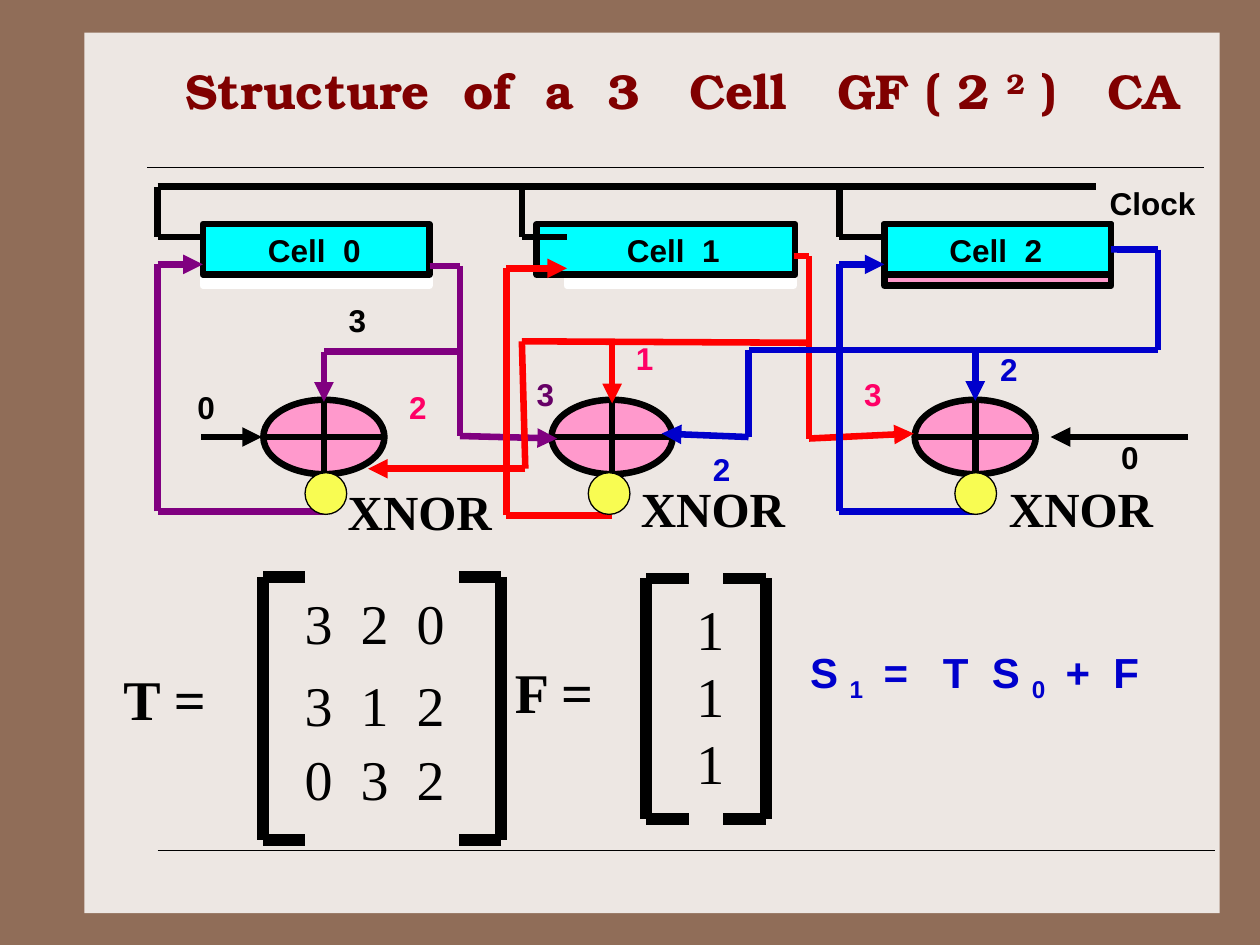
from pptx import Presentation
from pptx.dml.color import RGBColor
from pptx.enum.shapes import MSO_CONNECTOR as Link, MSO_SHAPE as Kind
from pptx.enum.text import MSO_ANCHOR as Anchor, PP_ALIGN as Align
from pptx.oxml.ns import qn
from pptx.util import Cm, Pt
from lxml.etree import SubElement

BLACK = RGBColor(0x00, 0x00, 0x00)
WHITE = RGBColor(0xFF, 0xFF, 0xFF)
BROWN = RGBColor(0x90, 0x6D, 0x58)
CREAM = RGBColor(0xED, 0xE7, 0xE3)
MAROON = RGBColor(0x80, 0x00, 0x00)
CYAN = RGBColor(0x00, 0xFF, 0xFF)
PINK = RGBColor(0xFF, 0x99, 0xCC)
ROSE = RGBColor(0xFF, 0x00, 0x66)
YELLOW = RGBColor(0xF8, 0xFC, 0x52)
PURPLE = RGBColor(0x80, 0x00, 0x80)
PLUM = RGBColor(0x66, 0x00, 0x66)
RED = RGBColor(0xFF, 0x00, 0x00)
BLUE = RGBColor(0x00, 0x00, 0xCC)
SERIF = "Times New Roman"

deck = Presentation()
deck.slide_width, deck.slide_height = Cm(25.4), Cm(19.05)
slide = deck.slides.add_slide(deck.slide_layouts[5])
slide.background.fill.solid()
slide.background.fill.fore_color.rgb = BROWN
shapes = slide.shapes


def write(text, box=None, host=None, size=18, font="Arial", color=BLACK,
          bold=True, align=Align.LEFT, wrap=False, anchor=Anchor.TOP):
    """Write lines of text; a list holds (text, baseline) parts of one line."""
    if host is None:
        host = shapes.add_textbox(*map(Cm, box))
    frame = host.text_frame
    frame.word_wrap, frame.vertical_anchor = wrap, anchor
    lines = [[(row, 0)] for row in text.split("\n")] if isinstance(text, str) else [text]
    for i, parts in enumerate(lines):
        para = frame.add_paragraph() if i else frame.paragraphs[0]
        para.alignment = align
        for part, base in parts:
            run = para.add_run()
            run.text = part
            run.font.size, run.font.name, run.font.bold = Pt(size), font, bold
            run.font.color.rgb = color
            if base:
                run._r.get_or_add_rPr().set("baseline", str(base * 1000))


def wire(points, color=BLACK, width=3.75, tip=False):
    """Join the points with straight lines and return the lines."""
    lines = []
    for start, end in zip(points, points[1:]):
        line = shapes.add_connector(Link.STRAIGHT, *map(Cm, start + end))
        line.line.color.rgb = color
        line.line.width = Pt(width)
        SubElement(line.element.spPr, qn("a:effectLst"))
        lines.append(line)
    if tip:
        SubElement(lines[-1].line._get_or_add_ln(), qn("a:tailEnd"), type="triangle")
    return lines


# Panel and rules
panel = shapes.add_shape(Kind.RECTANGLE, Cm(1.7), Cm(0.66), Cm(22.89), Cm(17.75))
panel.shadow.inherit = False
panel.fill.solid()
panel.fill.fore_color.rgb = CREAM
panel.line.fill.background()
wire([(2.97, 3.38), (24.28, 3.38)], width=0.75)
wire([(3.18, 17.15), (24.49, 17.15)], width=0.75)

# Title, brought in front of the panel
title = shapes.title
title.left, title.top, title.width, title.height = Cm(2.74), Cm(1.09), Cm(22.02), Cm(1.45)
title.element.getparent().append(title.element)
write([("Structure  of  a  3   Cell   GF ( 2 ", 0), ("2", 30), (" )   CA", 0)],
      host=title, size=28, font="TeX Gyre Bonum", color=MAROON,
      align=Align.CENTER, wrap=True)

# Cells with the strips behind them: left, width, strip left, strip colours, text indent
cells = []
for num, (left, width, back, fill, edge, gap) in enumerate([
        (4.09, 4.57, 4.09, WHITE, WHITE, 1.31),
        (10.82, 5.21, 11.43, WHITE, WHITE, 1.82),
        (17.83, 4.57, 17.83, PINK, BLACK, 1.31)]):
    for x, w, h, tint, rim in [(back, 4.57, 1.24, fill, edge),
                               (left, width, 1.02, CYAN, BLACK)]:
        cell = shapes.add_shape(Kind.RECTANGLE, Cm(x), Cm(4.52), Cm(w), Cm(h))
        cell.shadow.inherit = False
        cell.fill.solid()
        cell.fill.fore_color.rgb = tint
        cell.line.color.rgb = rim
        cell.line.width = Pt(3.75)
    cell.text_frame.margin_left = Cm(gap)
    write(f"Cell  {num}", host=cell, wrap=True, anchor=Anchor.MIDDLE)
    cells.append(cell)

# Clock line and its taps
wire([(3.18, 3.76), (22.1, 3.76)])
for x, end in [(3.18, 4.09), (10.52, 11.43), (16.92, 17.83)]:
    wire([(x, 3.76), (x, 4.78), (end, 4.78)])
write("Clock", (22.12, 3.58, 2.24, 1.02))

# XNOR gates: crossed ellipses, each with a dot below
MID, HALF, RISE = 8.81, 1.22, 0.75
dots = []
for x, left in [(6.53, 6.15), (12.34, 11.86), (19.66, 19.25)]:
    for box, tint, rim in [((x - HALF, MID - RISE, 2 * HALF, 2 * RISE), PINK, 3.75),
                           ((left, 9.53, 0.84, 0.84), YELLOW, 0.75)]:
        oval = shapes.add_shape(Kind.OVAL, *map(Cm, box))
        oval.shadow.inherit = False
        oval.fill.solid()
        oval.fill.fore_color.rgb = tint
        oval.line.color.rgb = BLACK
        oval.line.width = Pt(rim)
    dots.append(oval)
    wire([(x, MID - RISE), (x, MID + RISE)])
    wire([(x - HALF, MID), (x + HALF, MID)])

# Constant inputs
wire([(4.06, MID), (5.28, MID)], tip=True)
wire([(23.95, MID), (21.18, MID)], tip=True)

# Signals of cell 0, cell 1 and cell 2
for color, routes in [
        (PURPLE, [
            [(6.53, 10.31), (3.18, 10.31), (3.18, 5.33), (4.09, 5.33)],
            [(8.66, 5.36), (9.27, 5.36), (9.27, 8.79), (11.23, 8.84)],
            [(9.27, 7.09), (6.53, 7.09), (6.53, 8.1)]]),
        (RED, [
            [(12.34, 10.39), (10.21, 10.39), (10.21, 5.41), (11.43, 5.41)],
            [(16, 5.16), (16.31, 5.16), (16.31, 8.84), (18.42, 8.74)],
            [(16.31, 6.91), (10.52, 6.88), (10.59, 9.45), (7.42, 9.45)],
            [(12.34, 6.88), (12.34, 8.13)]]),
        (BLUE, [
            [(19.66, 10.31), (16.92, 10.31), (16.92, 5.33), (17.83, 5.33)],
            [(19.66, 7.06), (19.66, 8.08)]])]:
    for route in routes:
        wire(route, color, tip=True)
output = wire([(22.4, 5.03), (23.34, 5.03), (23.34, 7.06), (15.09, 7.06),
               (15.09, MID), (13.34, 8.74)], BLUE, tip=True)
output[0].begin_connect(cells[2], 3)

# Dots lie over the wires
for dot in dots:
    dot.element.getparent().append(dot.element)

# Weights and gate names
for text, x, y, color in [
        ("0", 3.73, 7.7, BLACK), ("3", 6.78, 5.94, BLACK), ("2", 8, 7.7, ROSE),
        ("3", 10.57, 7.44, PLUM), ("3", 17.17, 7.44, ROSE), ("1", 12.57, 6.71, ROSE),
        ("2", 14.12, 8.94, BLUE), ("2", 19.91, 6.93, BLUE), ("0", 22.35, 8.71, BLACK)]:
    write(text, (x, y, 0.86, 1.02), color=color)
for x, y in [(6.76, 9.58), (12.67, 9.53), (20.09, 9.53)]:
    write("XNOR", (x, y, 3.8, 1.45), size=28, font=SERIF, wrap=True)

# Matrix T and vector F
write("T =", (2.24, 13.28, 2.34, 1.63), size=32, font=SERIF)
for row, y in [("3  2  0", 11.73), ("3  1  2", 13.39), ("0  3  2", 14.88)]:
    write(row, (5.89, y, 4.7, 1.63), size=32, font=SERIF, bold=False, wrap=True)
write("F =", (10.13, 13.13, 2.41, 1.63), size=32, font=SERIF)
write("1\n1\n1", (13.79, 11.86, 1.22, 4.32), size=32, font=SERIF, bold=False, wrap=True)
for lip, side, top, base in [(6.15, 5.31, 11.63, 16.94), (9.25, 10.1, 11.63, 16.94),
                             (13.89, 13.03, 11.66, 16.51), (14.58, 15.44, 11.66, 16.51)]:
    wire([(lip, top), (side, top), (side, base), (lip, base)], width=6.75)

# Next-state equation
write([("S ", 0), ("1   ", -25), ("=   T  S ", 0), ("0   ", -25), ("+  F", 0)],
      (16.08, 12.9, 7.62, 1.42), size=24, color=BLUE, wrap=True)

deck.save("out.pptx")
